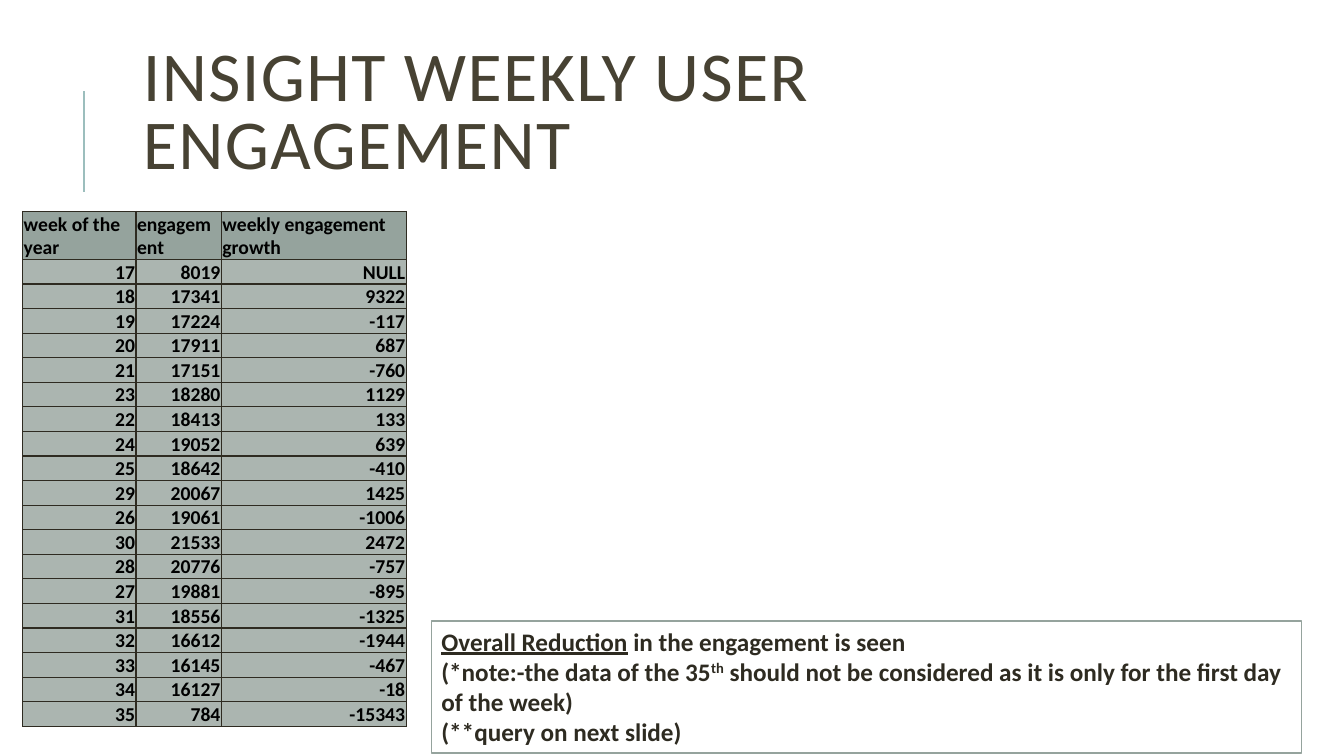
from dataclasses import dataclass

from lxml import etree
from pptx import Presentation
from pptx.dml.color import RGBColor
from pptx.enum.shapes import MSO_CONNECTOR, MSO_SHAPE
from pptx.enum.text import MSO_ANCHOR, PP_ALIGN
from pptx.oxml.ns import qn
from pptx.util import Pt

STRAIGHT = MSO_CONNECTOR.STRAIGHT
RECTANGLE = MSO_SHAPE.RECTANGLE
MIDDLE, BOTTOM = MSO_ANCHOR.MIDDLE, MSO_ANCHOR.BOTTOM
LEFT, RIGHT = PP_ALIGN.LEFT, PP_ALIGN.RIGHT


@dataclass(frozen=True)
class Theme:
    font: str = "Calibri"
    title: str = "474233"
    ink: str = "2E2B21"
    cell_text: str = "000000"
    accent: str = "9CBEBD"
    header: str = "95A39D"
    body: str = "ABB5B0"
    paper: str = "FFFFFF"
    title_size: float = 50
    note_size: float = 18
    cell_size: float = 14


THEME = Theme()

HEADINGS = ("week of the year", "engagement", "weekly engagement growth")
WEEKS = (
    (17, 8019, "NULL"), (18, 17341, 9322), (19, 17224, -117),
    (20, 17911, 687), (21, 17151, -760), (23, 18280, 1129),
    (22, 18413, 133), (24, 19052, 639), (25, 18642, -410),
    (29, 20067, 1425), (26, 19061, -1006), (30, 21533, 2472),
    (28, 20776, -757), (27, 19881, -895), (31, 18556, -1325),
    (32, 16612, -1944), (33, 16145, -467), (34, 16127, -18),
    (35, 784, -15343),
)
COLUMN_WIDTHS = (81, 61, 132)
ROW_HEIGHT = 14.4

# Each paragraph is a list of (text, format) runs
NOTE = (
    [("Overall Reduction", {"underline": True}),
     (" in the engagement is seen", {})],
    [("(*note:-the data of the 35", {}),
     ("th", {"baseline": 30}),
     (" should not be considered as it is only for the first day of the week)", {})],
    [("(**query on next slide)", {})],
)


def color(code):
    return RGBColor.from_string(code)


def add_text(paragraph, text, *, size, ink, bold=False, underline=False,
             baseline=0, spacing=0, align=LEFT):
    paragraph.alignment = align
    run = paragraph.add_run()
    run.text = text
    font = run.font
    font.name, font.size = THEME.font, Pt(size)
    font.bold, font.underline = bold, underline
    font.color.rgb = color(ink)
    properties = run._r.get_or_add_rPr()
    if baseline:
        properties.set("baseline", str(baseline * 1000))
    if spacing:
        properties.set("spc", str(spacing * 100))


def add_accent_line(slide, x, top, bottom):
    accent = slide.shapes.add_connector(STRAIGHT, Pt(x), Pt(bottom), Pt(x), Pt(top))
    accent.line.color.rgb = color(THEME.accent)
    accent.line.width = Pt(1.5)
    etree.SubElement(accent._element.spPr, qn("a:effectLst"))


def add_title(slide, text, left, top, width, height):
    frame = slide.shapes.add_textbox(Pt(left), Pt(top), Pt(width), Pt(height)).text_frame
    frame.word_wrap = True
    frame.vertical_anchor = MIDDLE
    heading = frame.paragraphs[0]
    heading.line_spacing = 0.8
    add_text(heading, text, size=THEME.title_size, ink=THEME.title, spacing=1)


def add_borders(cell, ink, width):
    properties = cell._tc.get_or_add_tcPr()
    for side in ("a:lnL", "a:lnR", "a:lnT", "a:lnB"):
        border = etree.SubElement(properties, qn(side), w=str(Pt(width)))
        fill = etree.SubElement(border, qn("a:solidFill"))
        etree.SubElement(fill, qn("a:srgbClr"), val=ink)


def fill_cell(cell, text, background, align):
    cell.margin_left = cell.margin_right = cell.margin_top = Pt(0.72)
    cell.margin_bottom = 0
    cell.vertical_anchor = BOTTOM
    add_borders(cell, THEME.ink, 1)
    cell.fill.solid()
    cell.fill.fore_color.rgb = color(background)
    add_text(cell.text_frame.paragraphs[0], text, size=THEME.cell_size,
             ink=THEME.cell_text, bold=True, align=align)


def add_engagement_table(slide, left, top):
    rows = (HEADINGS, *WEEKS)
    table = slide.shapes.add_table(
        len(rows), len(HEADINGS), Pt(left), Pt(top),
        Pt(sum(COLUMN_WIDTHS)), Pt(ROW_HEIGHT * len(rows))).table
    table.horz_banding = False
    for column, width in zip(table.columns, COLUMN_WIDTHS):
        column.width = Pt(width)
    for r, values in enumerate(rows):
        table.rows[r].height = Pt(ROW_HEIGHT)
        background, align = (THEME.body, RIGHT) if r else (THEME.header, LEFT)
        for c, value in enumerate(values):
            fill_cell(table.cell(r, c), str(value), background, align)


def add_note(slide, paragraphs, left, top, width, height):
    note = slide.shapes.add_shape(RECTANGLE, Pt(left), Pt(top), Pt(width), Pt(height))
    note.shadow.inherit = False
    note.fill.solid()
    note.fill.fore_color.rgb = color(THEME.paper)
    note.line.color.rgb = color(THEME.header)
    note.line.width = Pt(1.25)
    frame = note.text_frame
    frame.word_wrap = True
    frame.vertical_anchor = MSO_ANCHOR.TOP
    for i, runs in enumerate(paragraphs):
        paragraph = frame.add_paragraph() if i else frame.paragraphs[0]
        for text, style in runs:
            add_text(paragraph, text, size=THEME.note_size, ink=THEME.ink,
                     bold=True, **style)


def main():
    deck = Presentation()
    deck.slide_width, deck.slide_height = Pt(960), Pt(540)
    slide = deck.slides.add_slide(deck.slide_layouts[6])

    # Heading
    add_accent_line(slide, x=60, top=65, bottom=137)
    add_title(slide, "INSIGHT WEEKLY USER ENGAGEMENT", 95, 23, 770.5, 119)

    # Weekly figures
    add_engagement_table(slide, left=16.2, top=151)

    # Finding
    add_note(slide, NOTE, 308.2, 443.5, 621.4, 94.5)

    deck.save("out.pptx")


if __name__ == "__main__":
    main()
